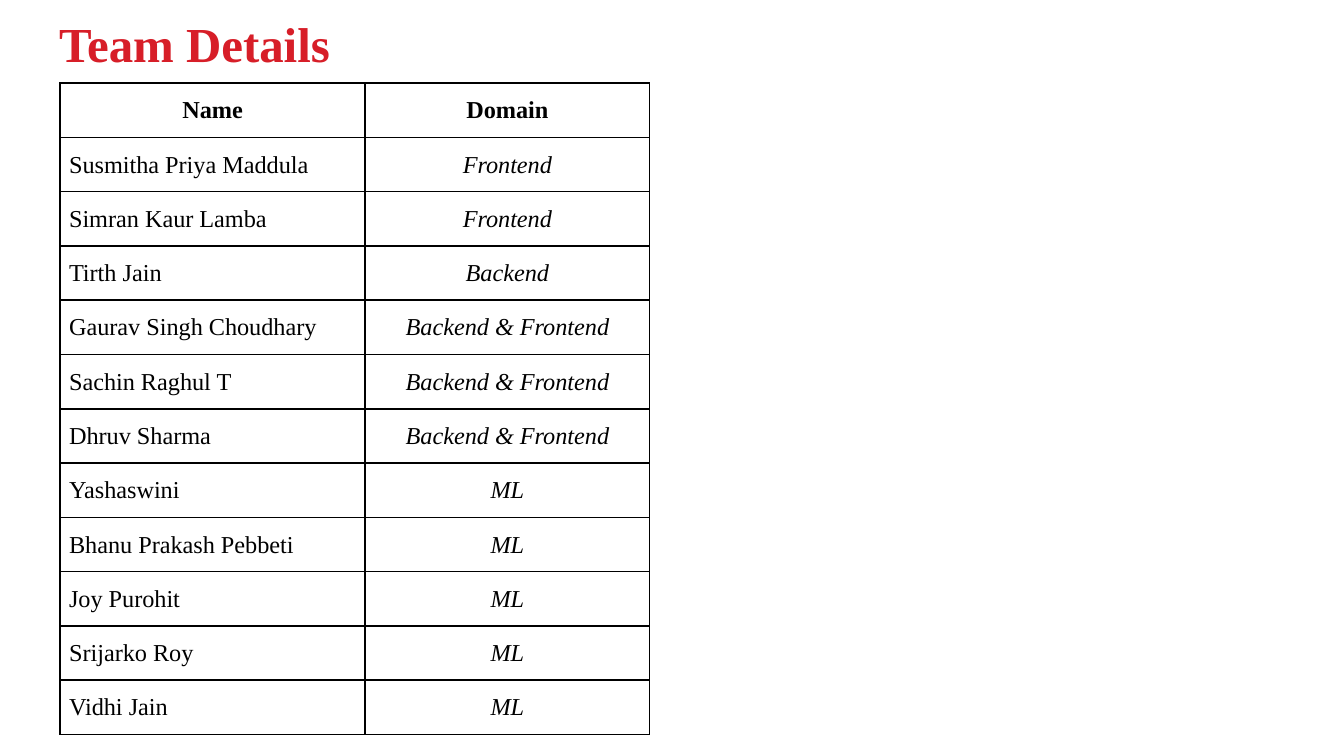
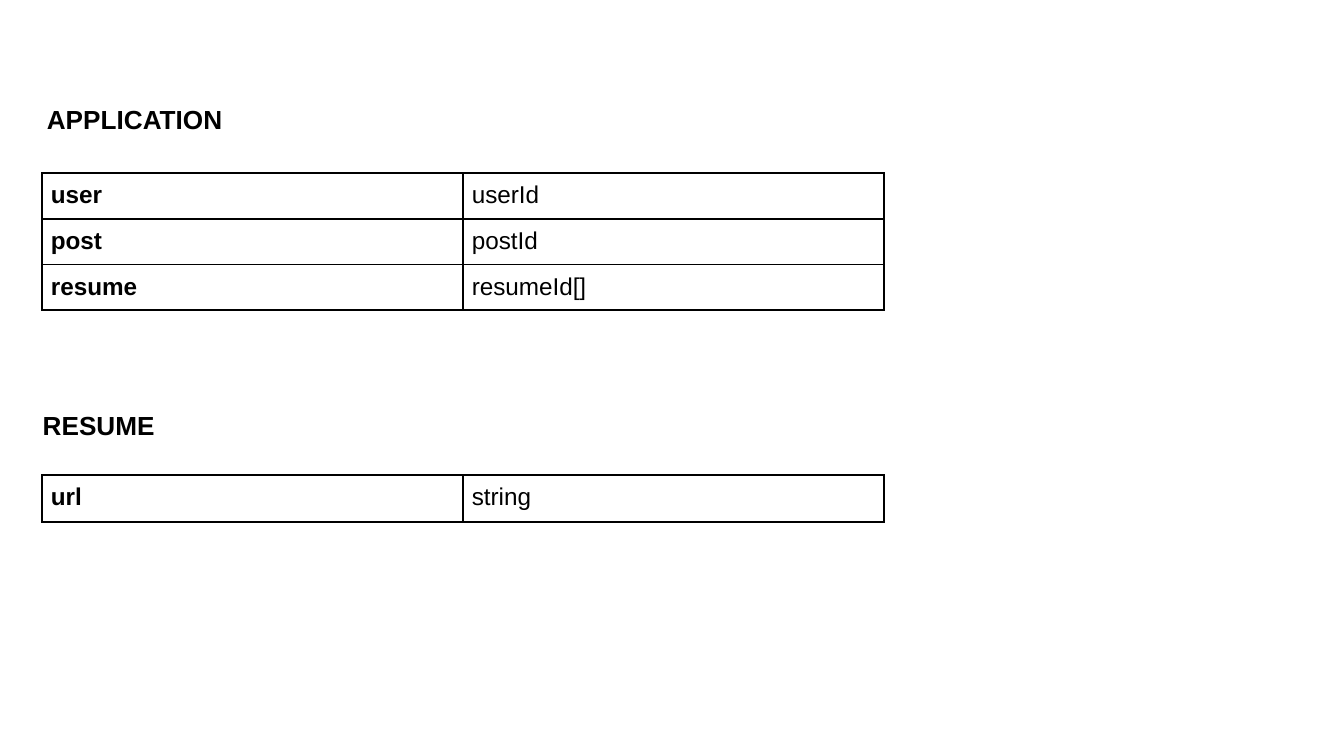
from lxml.etree import SubElement
from pptx import Presentation
from pptx.dml.color import RGBColor
from pptx.enum.text import MSO_ANCHOR, MSO_AUTO_SIZE, PP_ALIGN
from pptx.oxml.ns import qn
from pptx.util import Pt

COLORS = {"title": "D71E28", "ink": "000000"}
SERIF, SANS = "Times New Roman", "Arial"
TITLE_ONLY, BLANK = 5, 6
INSET = 7.2
CELL_INSET = 4.8
BORDER_WIDTH = 1
CELL_SIZE = 13

TEAM = [
    ("Susmitha Priya Maddula", "Frontend"),
    ("Simran Kaur Lamba", "Frontend"),
    ("Tirth Jain", "Backend"),
    ("Gaurav Singh Choudhary", "Backend & Frontend"),
    ("Sachin Raghul T", "Backend & Frontend"),
    ("Dhruv Sharma", "Backend & Frontend"),
    ("Yashaswini", "ML"),
    ("Bhanu Prakash Pebbeti", "ML"),
    ("Joy Purohit", "ML"),
    ("Srijarko Roy", "ML"),
    ("Vidhi Jain", "ML"),
]
APPLICATION_FIELDS = [("user", "userId"), ("post", "postId"), ("resume", "resumeId[]")]
RESUME_FIELDS = [("url", "string")]


def add_run(paragraph, text, font, size, color="ink", bold=False, italic=False):
    run = paragraph.add_run()
    run.text = text
    run.font.name = font
    run.font.size = Pt(size)
    run.font.bold = bold
    run.font.italic = italic
    run.font.color.rgb = RGBColor.from_string(COLORS[color])


def format_frame(frame, auto_size):
    """Give a title or heading its insets, wrapping and top alignment."""
    frame.word_wrap = True
    frame.auto_size = auto_size
    frame.vertical_anchor = MSO_ANCHOR.TOP
    frame.margin_left = frame.margin_right = Pt(INSET)
    frame.margin_top = frame.margin_bottom = Pt(INSET)


def set_title(slide, text):
    title = slide.shapes.title
    title.left, title.top, title.width, title.height = Pt(24.5), Pt(0), Pt(671), Pt(39)
    format_frame(title.text_frame, MSO_AUTO_SIZE.NONE)
    paragraph = title.text_frame.paragraphs[0]
    paragraph.alignment = PP_ALIGN.LEFT
    add_run(paragraph, text, SERIF, 26.2, "title", bold=True)


def add_heading(slide, text, left, top):
    heading = slide.shapes.add_textbox(Pt(left), Pt(top), Pt(290), Pt(31.7))
    format_frame(heading.text_frame, MSO_AUTO_SIZE.SHAPE_TO_FIT_TEXT)
    add_run(heading.text_frame.paragraphs[0], text, SANS, 14, bold=True)


def add_borders(cell):
    properties = cell._tc.get_or_add_tcPr()
    for side in ("a:lnL", "a:lnR", "a:lnT", "a:lnB"):
        line = SubElement(properties, qn(side), w=str(Pt(BORDER_WIDTH)))
        fill = SubElement(line, qn("a:solidFill"))
        SubElement(fill, qn("a:srgbClr"), val=COLORS["ink"])


def add_grid(slide, left, top, widths, row_height, rows, write_cell):
    """Add a bordered table; write_cell fills each cell's paragraph."""
    table = slide.shapes.add_table(
        len(rows), len(widths), Pt(left), Pt(top),
        Pt(sum(widths)), Pt(row_height * len(rows))).table
    table.first_row = table.horz_banding = False
    for column, width in zip(table.columns, widths):
        column.width = Pt(width)
    for r, row in enumerate(rows):
        table.rows[r].height = Pt(row_height)
        for c, text in enumerate(row):
            cell = table.cell(r, c)
            cell.margin_left = cell.margin_right = Pt(CELL_INSET)
            cell.margin_top = cell.margin_bottom = Pt(CELL_INSET)
            add_borders(cell)
            cell.fill.background()
            write_cell(cell.text_frame.paragraphs[0], text, r, c)


def write_team_cell(paragraph, text, row, column):
    is_header, is_domain = row == 0, column == 1
    paragraph.line_spacing = 1.2
    paragraph.alignment = PP_ALIGN.CENTER if is_header or is_domain else PP_ALIGN.LEFT
    add_run(paragraph, text, SERIF, CELL_SIZE,
            bold=is_header, italic=is_domain and not is_header)


def write_field_cell(paragraph, text, row, column):
    add_run(paragraph, text, SANS, CELL_SIZE, bold=column == 0)


def add_schema(slide, name, heading_left, heading_top, table_top, fields):
    add_grid(slide, 22.5, table_top, (225.5, 225.5), 24.5, fields, write_field_cell)
    add_heading(slide, name, heading_left, heading_top)


def main():
    deck = Presentation()
    deck.slide_width, deck.slide_height = Pt(720), Pt(405)

    team = deck.slides.add_slide(deck.slide_layouts[TITLE_ONLY])
    set_title(team, "Team Details")
    add_grid(team, 32.2, 44.5, (163.4, 152.4), 29.1,
             [("Name", "Domain")] + TEAM, write_team_cell)

    schemas = deck.slides.add_slide(deck.slide_layouts[BLANK])
    add_schema(schemas, "APPLICATION", 18, 48.2, 92.7, APPLICATION_FIELDS)
    add_schema(schemas, "RESUME", 15.8, 212.4, 254.4, RESUME_FIELDS)

    deck.save("out.pptx")


if __name__ == "__main__":
    main()
